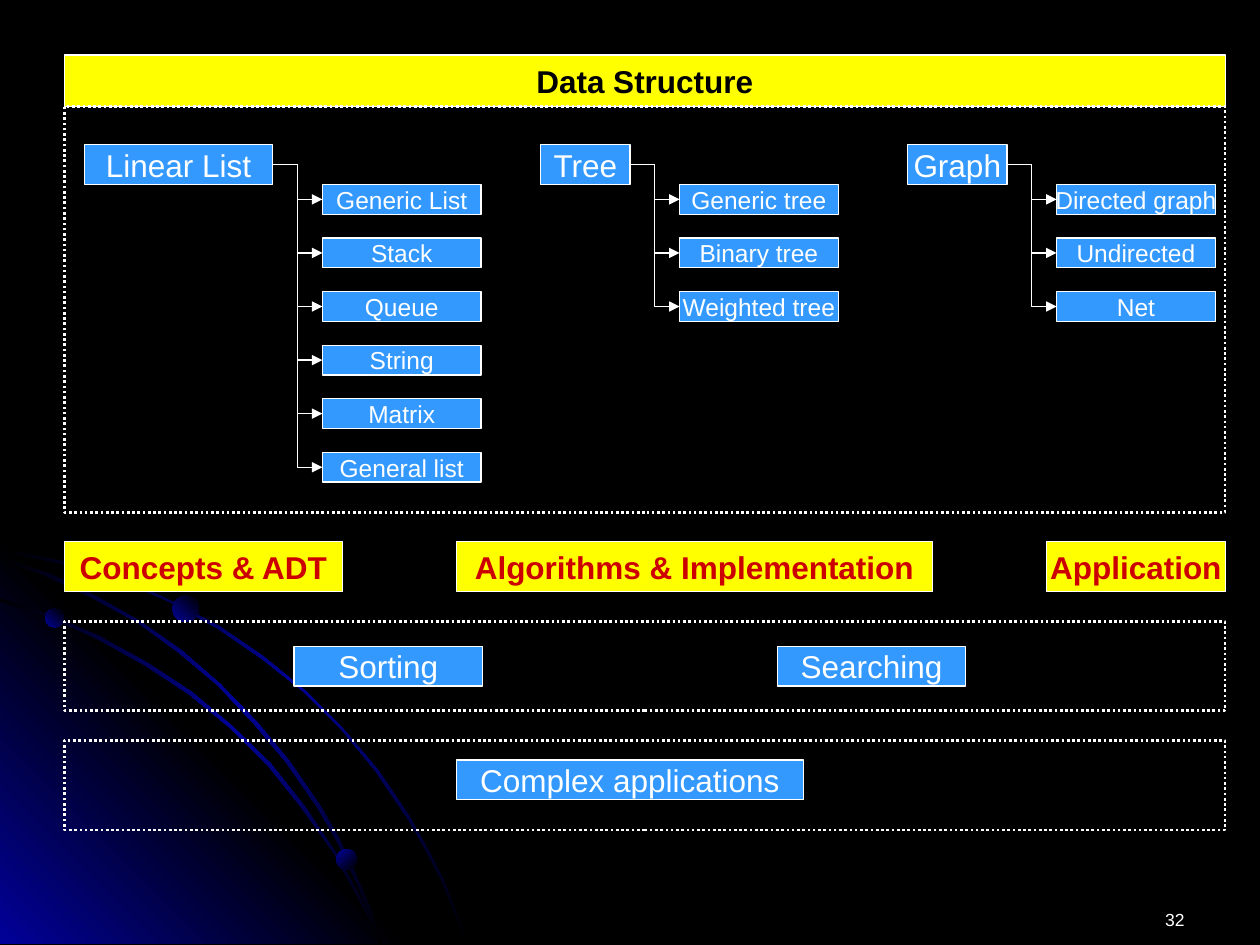
"""Builds a one-slide overview of data structures, their topics and applications."""
import lxml.etree
import pptx
import pptx.dml.color
import pptx.enum.dml
import pptx.enum.shapes
import pptx.enum.text
import pptx.oxml.ns
import pptx.util

Cm = pptx.util.Cm
Pt = pptx.util.Pt
RGB = pptx.dml.color.RGBColor.from_string
qn = pptx.oxml.ns.qn
MSO_SHAPE = pptx.enum.shapes.MSO_SHAPE

COLORS = {
    "black": "000000",
    "glow": "010199",
    "white": "FFFFFF",
    "yellow": "FFFF00",
    "red": "CC0000",
    "blue": "3399FF",
}


def add_glow(shape, angle, *stops):
    shape.shadow.inherit = False
    shape.line.fill.background()
    shape.fill.gradient()
    shape.fill.gradient_angle = angle
    stop_list = shape._element.spPr.find(".//" + qn("a:gsLst"))
    for old_stop in list(stop_list):
        stop_list.remove(old_stop)
    for index, color in enumerate(stops):
        position = 100000 * index // (len(stops) - 1)
        stop = lxml.etree.SubElement(stop_list, qn("a:gs"), pos=str(position))
        lxml.etree.SubElement(stop, qn("a:srgbClr"), val=COLORS[color])


def add_label(text, left, top, width, height, fill="blue", ink="white", size=18, bold=False):
    label = slide.shapes.add_shape(MSO_SHAPE.RECTANGLE, Cm(left), Cm(top), Cm(width), Cm(height))
    label.shadow.inherit = False
    label.fill.solid()
    label.fill.fore_color.rgb = RGB(COLORS[fill])
    label.line.color.rgb = RGB(COLORS["white"])
    label.line.width = Pt(0.75)
    label.text_frame.word_wrap = False
    label.text_frame.vertical_anchor = pptx.enum.text.MSO_ANCHOR.MIDDLE
    paragraph = label.text_frame.paragraphs[0]
    paragraph.text = text
    paragraph.alignment = pptx.enum.text.PP_ALIGN.CENTER
    paragraph.font.name = "Arial"
    paragraph.font.size = Pt(size)
    paragraph.font.bold = bold
    paragraph.font.color.rgb = RGB(COLORS[ink])
    return label


deck = pptx.Presentation()
deck.slide_width = Cm(25.4)
deck.slide_height = Cm(19.05)
slide = deck.slides.add_slide(deck.slide_layouts[6])
slide.background.fill.solid()
slide.background.fill.fore_color.rgb = RGB(COLORS["black"])

outer_arc = [
    (57, 447), (28, 441), (0, 435), (0, 438), (28, 443), (56, 449), (97, 461), (135, 478),
    (173, 499), (208, 523), (241, 549), (271, 579), (298, 612), (323, 649), (337, 673),
    (350, 698), (360, 723), (370, 749), (372, 749), (362, 723), (352, 698), (339, 673),
    (325, 648), (300, 611), (272, 578), (242, 548), (209, 521), (174, 497), (136, 477), (98, 459),
]
corner = [(322, 749), (0, 749), (0, 427)]
inner_arc = [
    (285, 714), (294, 732), (301, 749), (303, 749), (296, 730), (286, 712), (266, 676),
    (242, 640), (215, 606), (184, 576), (152, 549), (117, 526), (79, 505), (41, 488), (0, 475),
    (0, 477), (39, 490), (77, 507), (115, 528), (150, 551), (183, 578), (213, 608), (240, 642),
    (265, 677),
]
middle_arc = [
    (0, 442), (0, 444), (36, 457), (74, 475), (109, 494), (142, 518), (173, 544), (202, 575),
    (227, 605), (252, 641), (267, 667), (280, 694), (292, 722), (301, 749), (303, 749),
    (294, 720), (282, 693), (269, 665), (254, 639), (229, 603), (204, 573), (175, 543),
    (144, 516), (111, 493), (76, 473), (39, 455),
]
arc_glow = (315, "black", "glow", "black")
for outline, glow in [
    (outer_arc, arc_glow),
    (corner, (45, "glow", "black", "glow")),
    (inner_arc, arc_glow),
    (middle_arc, arc_glow),
]:
    builder = slide.shapes.build_freeform(*outline[0], scale=Cm(2.54) / 100)
    builder.add_line_segments(outline[1:], close=True)
    add_glow(builder.convert_to_shape(), *glow)

for left, top, diameter, angle in [
    (0.91, 12.27, 0.38, 45),
    (6.78, 17.12, 0.41, 315),
    (3.48, 12.01, 0.53, 45),
]:
    planet = slide.shapes.add_shape(
        MSO_SHAPE.OVAL, Cm(left), Cm(top), Cm(diameter), Cm(diameter))
    add_glow(planet, angle, "glow", "black")

page_number = slide.shapes.add_textbox(Cm(18.21), Cm(18.21), Cm(5.92), Cm(0.7)).text_frame
page_number.word_wrap = True
paragraph = page_number.paragraphs[0]
paragraph.text = "32"
paragraph.alignment = pptx.enum.text.PP_ALIGN.RIGHT
paragraph.font.name = "Arial"
paragraph.font.size = Pt(10)
paragraph.font.color.rgb = RGB(COLORS["white"])

frame_left, frame_width = 1.3, 23.4
add_label("Data Structure", frame_left, 1.11, frame_width, 1.04, "yellow", "black", bold=True)
for text, left, width in [
    ("Concepts & ADT", frame_left, 5.6),
    ("Algorithms & Implementation", 9.2, 9.6),
    ("Application", 21.1, 3.6),
]:
    add_label(text, left, 10.92, width, 1, "yellow", "red", bold=True)

for top, height in [(2.15, 8.18), (12.53, 1.8), (14.93, 1.8)]:
    frame = slide.shapes.add_shape(
        MSO_SHAPE.RECTANGLE, Cm(frame_left), Cm(top), Cm(frame_width), Cm(height))
    frame.shadow.inherit = False
    frame.fill.background()
    frame.line.color.rgb = RGB(COLORS["white"])
    frame.line.width = Pt(1.5)
    frame.line.dash_style = pptx.enum.dml.MSO_LINE.ROUND_DOT

family_top, family_height, branch_gap = 2.92, 0.8, 1
families = [
    ("Linear List", 1.7, 3.8,
     ["Generic List", "Stack", "Queue", "String", "Matrix", "General list"]),
    ("Tree", 10.9, 1.8, ["Generic tree", "Binary tree", "Weighted tree"]),
    ("Graph", 18.3, 2, ["Directed graph", "Undirected", "Net"]),
]
for family_name, left, width, members in families:
    family = add_label(family_name, left, family_top, width, family_height)
    for row, member_name in enumerate(members):
        member = add_label(member_name, left + width + branch_gap,
                           family_top + family_height + 1.08 * row, 3.2, 0.6, size=14)
        branch = slide.shapes.add_connector(
            pptx.enum.shapes.MSO_CONNECTOR.ELBOW, 0, 0, 0, 0)
        branch.begin_connect(family, 3)
        branch.end_connect(member, 1)
        branch.line.color.rgb = RGB(COLORS["white"])
        branch.line.width = Pt(0.75)
        lxml.etree.SubElement(branch.line._get_or_add_ln(), qn("a:tailEnd"), type="triangle")
        lxml.etree.SubElement(branch._element.spPr, qn("a:effectLst"))

for text, left, top, width in [
    ("Sorting", 5.93, 13.03, 3.8),
    ("Searching", 15.67, 13.03, 3.8),
    ("Complex applications", 9.2, 15.32, 7),
]:
    add_label(text, left, top, width, family_height)

deck.save("out.pptx")
